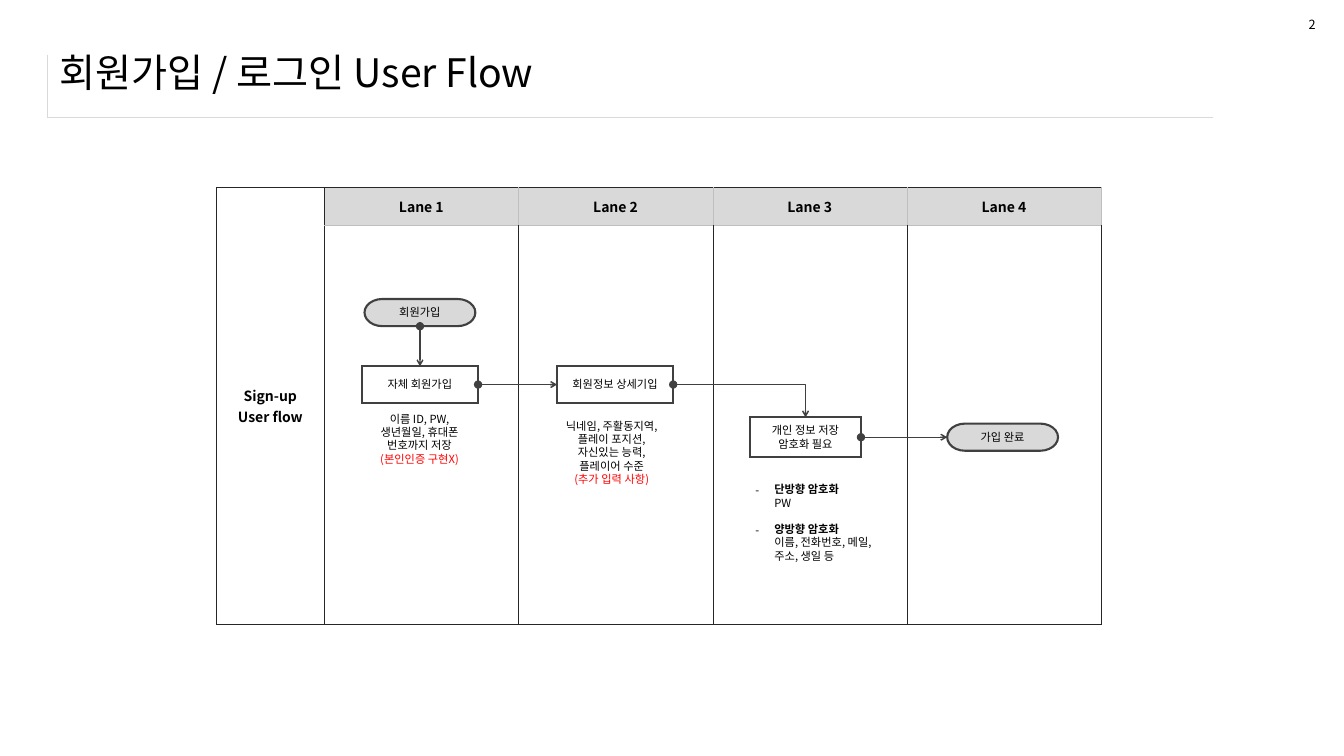
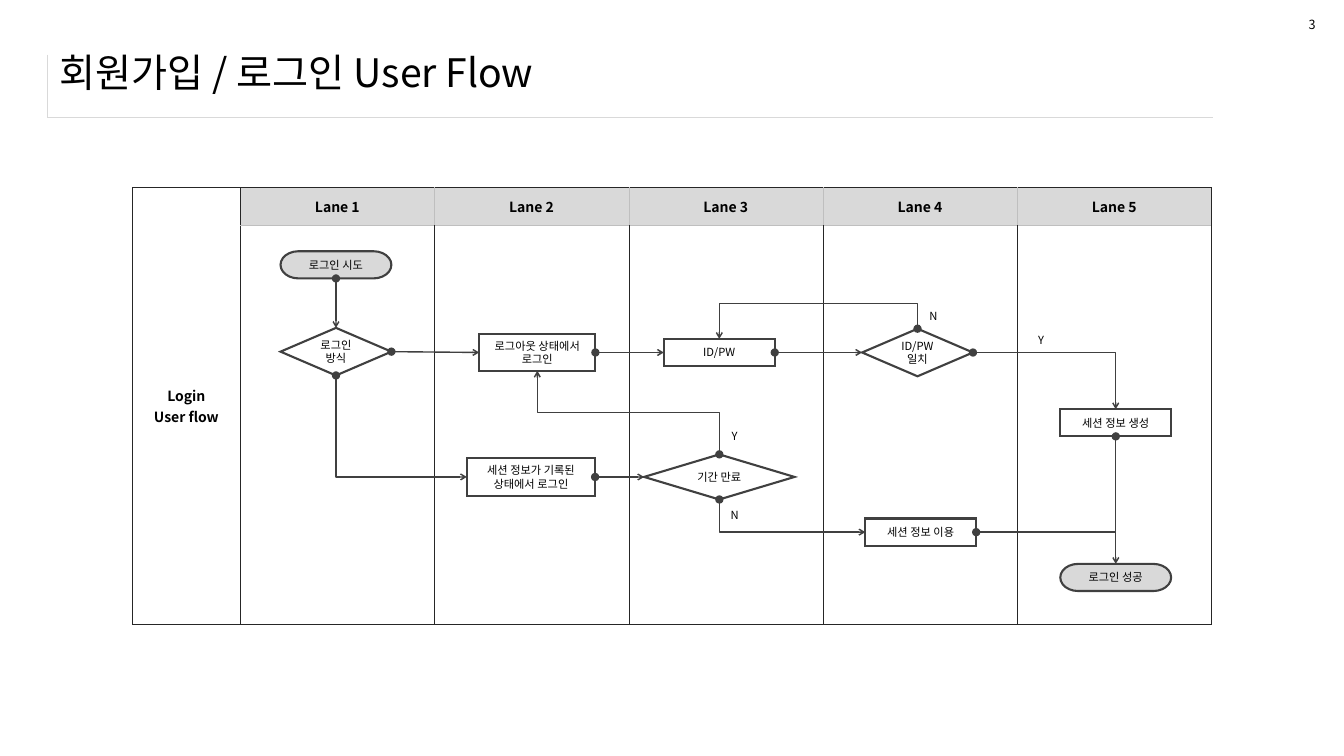
from lxml.etree import SubElement
from pptx import Presentation
from pptx.dml.color import RGBColor
from pptx.enum.shapes import MSO_CONNECTOR as CONN, MSO_SHAPE as SHAPE
from pptx.enum.text import MSO_ANCHOR as ANCHOR, PP_ALIGN as ALIGN
from pptx.oxml.ns import qn
from pptx.util import Pt

FONT = "Noto Sans CJK KR"
COLORS = {"text": "000000", "accent": "FF0000", "line": "404040", "grid": "262626",
          "soft": "BFBFBF", "rule": "D9D9D9", "band": "D9D9D9", "white": "FFFFFF"}
KINDS = {"start": (SHAPE.FLOWCHART_TERMINATOR, "band"),
         "step": (SHAPE.FLOWCHART_PROCESS, "white"),
         "choice": (SHAPE.FLOWCHART_DECISION, "white")}
TOP, LEFT, BOTTOM, RIGHT = range(4)
TABLE_TOP, HEAD_H, BODY_H, NAME_W, LANE_W = 134, 27, 285, 77, 138.75
TITLE = "회원가입 / 로그인 User Flow"
RED, BOLD = {"color": "accent"}, {"bold": True}

# Nodes: kind, text, centre x, centre y, width, height
# Links: from, side, to (a node or a point), side[, y of the middle stretch]
# Notes: paragraphs, box, text format
SLIDES = [
    {"number": 2, "name": ["Sign-up", "User flow"], "lanes": 4, "left": 154.6, "edge": "soft",
     "nodes": {
         "join": ("start", ["회원가입"], 300, 223.3, 79.2, 19.4),
         "own": ("step", ["자체 회원가입"], 300, 274.7, 83, 26.2),
         "details": ("step", ["회원정보 상세기입"], 439.4, 274.7, 83, 26.2),
         "encrypt": ("step", ["개인 정보 저장", "암호화 필요"], 575.4, 312.3, 79.2, 28.4),
         "done": ("start", ["가입 완료"], 716.2, 312.3, 79.2, 19.4)},
     "links": [
         ("join", BOTTOM, "own", TOP),
         ("own", RIGHT, "details", LEFT),
         ("details", RIGHT, "encrypt", TOP),
         ("encrypt", RIGHT, "done", LEFT)],
     "notes": [
         (["이름 ID, PW,\n생년월일, 휴대폰 번호까지 저장", [("(본인인증 구현X)", RED)]],
          (258.3, 290.9, 82.8, 46), {"align": ALIGN.CENTER}),
         (["닉네임, 주활동지역, 플레이 포지션,", "자신있는 능력,", "플레이어 수준",
           [("(추가 입력 사항)", RED)]],
          (390.2, 295.9, 93.6, 55.4), {"align": ALIGN.CENTER}),
         ([[("단방향 암호화\n", BOLD), ("PW", {})],
           [("양방향 암호화\n", BOLD), ("이름, 전화번호, 메일, 주소, 생일 등", {})]],
          (532.5, 341.2, 101.5, 65.5), {"bullet": "-", "gap": 9.5})]},
    {"number": 3, "name": ["Login", "User flow"], "lanes": 5, "left": 94.6, "edge": "grid",
     "nodes": {
         "try": ("start", ["로그인 시도"], 240, 189.2, 79.2, 19.4),
         "method": ("choice", ["로그인 방식"], 240, 251.2, 79.2, 34),
         "logged_out": ("step", ["로그아웃 상태에서 로그인"], 383.8, 251.8, 83, 26.2),
         "id_pw": ("step", ["ID/PW"], 513.8, 251.8, 79.2, 19.4),
         "match": ("choice", ["ID/PW 일치"], 655.4, 251.8, 79.2, 34),
         "new_session": ("step", ["세션 정보 생성"], 797, 302, 79.2, 19.4),
         "recorded": ("step", ["세션 정보가 기록된 상태에서 로그인"], 379.3, 340.7, 91.6, 27.2),
         "expired": ("choice", ["기간 만료"], 513.8, 340.7, 107.4, 32.2),
         "use_session": ("step", ["세션 정보 이용"], 657.7, 380.1, 79.2, 19.4),
         "success": ("start", ["로그인 성공"], 797, 412.5, 79.2, 19.4)},
     "links": [
         ("try", BOTTOM, "method", TOP),
         ("method", RIGHT, "logged_out", LEFT),
         ("method", BOTTOM, "recorded", LEFT),
         ("logged_out", RIGHT, "id_pw", LEFT),
         ("id_pw", RIGHT, "match", LEFT),
         ("match", RIGHT, "new_session", TOP),
         ("match", TOP, "id_pw", TOP, 216.7),
         ("recorded", RIGHT, "expired", LEFT),
         ("expired", TOP, "logged_out", BOTTOM, 294.6),
         ("expired", BOTTOM, "use_session", LEFT),
         ("new_session", BOTTOM, "success", TOP),
         ("use_session", RIGHT, (797, 380.1), LEFT)],
     "notes": [([letter], (x, y, 20, 17.3), {"wrap": False}) for letter, x, y in
               [("Y", 515.5, 303.1), ("N", 514.8, 359.3), ("Y", 734.4, 234.4), ("N", 656.8, 217.4)]]},
]


def rgb(name):
    return RGBColor.from_string(COLORS[name])


def write(tf, paragraphs, size=8, bold=False, color="text", align=ALIGN.LEFT, spacing=Pt(9.5),
          anchor=ANCHOR.TOP, wrap=True, bullet=None, gap=0):
    """Fill a text frame; a paragraph is a string or a list of (text, format) runs."""
    tf.word_wrap, tf.vertical_anchor = wrap, anchor
    for i, runs in enumerate(paragraphs):
        p = tf.paragraphs[0] if i == 0 else tf.add_paragraph()
        p.alignment, p.line_spacing = align, spacing
        p.space_before = Pt(gap if i else 0)
        if bullet:
            pPr = p._p.get_or_add_pPr()
            pPr.set("marL", str(Pt(13.5)))
            pPr.set("indent", str(-Pt(13.5)))
            SubElement(pPr, qn("a:buFont"), typeface=FONT)
            SubElement(pPr, qn("a:buChar"), char=bullet)
        for text, fmt in [(runs, {})] if isinstance(runs, str) else runs:
            for k, line in enumerate(text.split("\n")):
                if k:
                    p.add_line_break()
                if not line:
                    continue
                r = p.add_run()
                r.text = line
                r.font.size, r.font.name = Pt(size), FONT
                r.font.bold = fmt.get("bold", bold)
                r.font.color.rgb = rgb(fmt.get("color", color))
                rPr = r._r.get_or_add_rPr()
                rPr.set("kern", "1200")
                SubElement(rPr, qn("a:ea"), typeface=FONT)


def add_text(slide, paragraphs, box, **fmt):
    write(slide.shapes.add_textbox(*map(Pt, box)).text_frame, paragraphs, **fmt)


def add_table(slide, left, top, widths, heights):
    table = slide.shapes.add_table(len(heights), len(widths), Pt(left), Pt(top),
                                   Pt(sum(widths)), Pt(sum(heights))).table
    table.first_row = table.horz_banding = False
    for col, width in zip(table.columns, widths):
        col.width = Pt(width)
    for row, height in zip(table.rows, heights):
        row.height = Pt(height)
    return table


def style_cell(cell, fill, borders):
    """Borders come as colour names, or None, for left, right, top and bottom."""
    if fill:
        cell.fill.solid()
        cell.fill.fore_color.rgb = rgb(fill)
    else:
        cell.fill.background()
    tcPr = cell._tc.get_or_add_tcPr()
    for i, (side, color) in enumerate(zip("LRTB", borders)):
        ln = SubElement(tcPr, qn("a:ln" + side), w=str(Pt(0.25)))
        if color:
            SubElement(SubElement(ln, qn("a:solidFill")), qn("a:srgbClr"), val=COLORS[color])
        else:
            SubElement(ln, qn("a:noFill"))
        tcPr.insert(i, ln)


def add_lanes(slide, name, lanes, left, edge):
    table = add_table(slide, left, TABLE_TOP, [NAME_W] + [LANE_W] * lanes, [HEAD_H, BODY_H])
    table.cell(0, 0).merge(table.cell(1, 0))
    for i in range(lanes + 1):
        head, body = table.cell(0, i), table.cell(1, i)
        write(head.text_frame, [f"Lane {i}"] if i else name, size=10, bold=True,
              align=ALIGN.CENTER, spacing=1.0)
        head.vertical_anchor = ANCHOR.MIDDLE
        if i:
            style_cell(head, "band", ["grid" if i == 1 else "soft",
                                      edge if i == lanes else "soft", "grid", "soft"])
            style_cell(body, None, ["grid", "grid", "soft", "grid"])
        else:
            style_cell(head, None, ["grid"] * 4)
            style_cell(body, None, ["grid"] * 4)


def add_node(slide, kind, text, x, y, w, h):
    shape, fill = KINDS[kind]
    s = slide.shapes.add_shape(shape, Pt(x - w / 2), Pt(y - h / 2), Pt(w), Pt(h))
    s.shadow.inherit = False
    s.fill.solid()
    s.fill.fore_color.rgb = rgb(fill)
    s.line.color.rgb, s.line.width = rgb("line"), Pt(1.5)
    SubElement(s.line._get_or_add_ln(), qn("a:miter"), lim="800000")
    write(s.text_frame, text, align=ALIGN.CENTER, anchor=ANCHOR.MIDDLE)
    return s


def side_point(node, side):
    x, y, w, h = node[2:]
    return [(x, y - h / 2), (x - w / 2, y), (x, y + h / 2), (x + w / 2, y)][side]


def bend(c, start, end, leaves_upright, mid):
    """Turn an elbow into one corner, or two corners with the middle stretch at mid."""
    (x1, y1), (x2, y2) = start, end
    spPr = c._element.spPr
    geom = spPr.find(qn("a:prstGeom"))
    geom.set("prst", "bentConnector2" if mid is None else "bentConnector3")
    if mid is not None:
        guides = geom.find(qn("a:avLst"))
        if guides is None:
            guides = SubElement(geom, qn("a:avLst"))
        ratio = round((mid - y1) / (y2 - y1) * 100000)
        SubElement(guides, qn("a:gd"), name="adj1", fmla=f"val {ratio}")
    if leaves_upright:
        w, h = abs(x2 - x1), abs(y2 - y1)
        c.left, c.top = Pt((x1 + x2 - h) / 2), Pt((y1 + y2 - w) / 2)
        c.width, c.height = Pt(h), Pt(w)
        xfrm = spPr.find(qn("a:xfrm"))
        xfrm.set("rot", str(270 * 60000))
        xfrm.set("flipH", str(int(y2 > y1)))
        xfrm.set("flipV", str(int(x2 < x1)))


def add_link(slide, nodes, shapes, source, out, target, into, mid=None):
    is_node = target in nodes
    start = side_point(nodes[source], out)
    end = side_point(nodes[target], into) if is_node else target
    straight = mid is None and abs(out - into) == 2
    c = slide.shapes.add_connector(CONN.STRAIGHT if straight else CONN.ELBOW,
                                   *map(Pt, start + end))
    c.line.color.rgb, c.line.width = rgb("line"), Pt(1)
    SubElement(c._element.spPr, qn("a:effectLst"))
    if straight:
        c.begin_connect(shapes[source], out)
        if is_node:
            c.end_connect(shapes[target], into)
    else:
        bend(c, start, end, out in (TOP, BOTTOM), mid)
    ln = c.line._get_or_add_ln()
    SubElement(ln, qn("a:headEnd"), type="oval")
    if is_node:
        SubElement(ln, qn("a:tailEnd"), type="arrow", w="sm", len="sm")


def add_frame(slide, number):
    """Title, its corner rule and the page number."""
    corner = add_table(slide, 33.8, 39, [832.4], [45])
    style_cell(corner.cell(0, 0), None, ["rule", None, None, "rule"])
    add_text(slide, [TITLE], (35.7, 29.5, 899.3, 48.2), size=28, spacing=0.9, anchor=ANCHOR.MIDDLE)
    add_text(slide, [str(number)], (927.6, 8.6, 19.4, 18), size=9, spacing=1.0, wrap=False)


def main():
    prs = Presentation()
    prs.slide_width, prs.slide_height = Pt(960), Pt(540)
    for page in SLIDES:
        slide = prs.slides.add_slide(prs.slide_layouts[6])
        add_frame(slide, page["number"])
        add_lanes(slide, page["name"], page["lanes"], page["left"], page["edge"])
        nodes = page["nodes"]
        shapes = {key: add_node(slide, *node) for key, node in nodes.items()}
        for link in page["links"]:
            add_link(slide, nodes, shapes, *link)
        for paragraphs, box, fmt in page["notes"]:
            add_text(slide, paragraphs, box, **fmt)
    prs.save("out.pptx")


if __name__ == "__main__":
    main()
